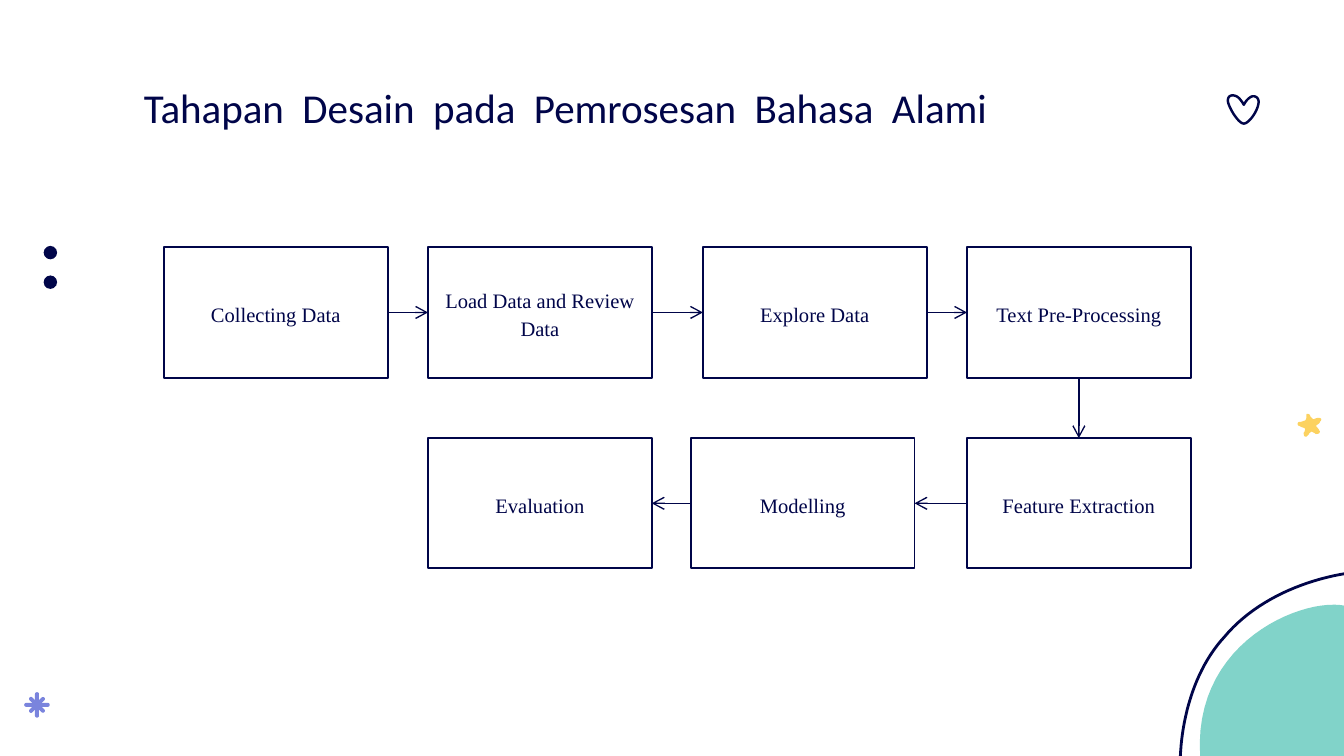
"""Build a slide showing the design stages of natural language processing."""

from dataclasses import dataclass
from itertools import pairwise
from typing import Any, NamedTuple

from lxml.etree import SubElement
from pptx import Presentation
from pptx.dml.color import RGBColor
from pptx.enum.shapes import MSO_CONNECTOR, MSO_SHAPE
from pptx.enum.text import MSO_ANCHOR, MSO_AUTO_SIZE, PP_ALIGN
from pptx.oxml.ns import qn
from pptx.util import Emu, Inches, Pt

Point = tuple[float, float]


@dataclass(frozen=True)
class Theme:
    navy: RGBColor = RGBColor.from_string("000549")
    white: RGBColor = RGBColor.from_string("FFFFFF")
    yellow: RGBColor = RGBColor.from_string("FCD260")
    violet: RGBColor = RGBColor.from_string("7A84DD")
    teal: RGBColor = RGBColor.from_string("81D3C9")
    title_font: str = "Calibri"
    box_font: str = "Times New Roman"
    title_size: Pt = Pt(22)
    box_size: Pt = Pt(11)
    box_line: Pt = Pt(1)
    arrow_line: Pt = Pt(0.75)
    heart_line: Pt = Pt(1.3)
    arc_line: Pt = Pt(1.5)


class Stage(NamedTuple):
    text: str
    column: float
    row: float
    exit_side: int
    entry_side: int


class Bar(NamedTuple):
    length: float
    angle: int


@dataclass(frozen=True)
class Outline:
    start: Point
    curves: tuple[tuple[Point, ...], ...]
    fill: RGBColor | None = None
    line: Pt | None = None
    closed: bool = True


THEME = Theme()
SLIDE_COLUMNS, SLIDE_ROWS = 100, 56.25
TOP, LEFT, BOTTOM, RIGHT = range(4)
BOX_COLUMNS, BOX_ROWS = 16.65, 9.7
UPPER_ROW, LOWER_ROW = 18.4, 32.6
CURVE_STEPS = 24

STAGES = (
    Stage("Collecting Data", 12.2, UPPER_ROW, RIGHT, LEFT),
    Stage("Load Data and Review Data", 31.85, UPPER_ROW, RIGHT, LEFT),
    Stage("Explore Data", 52.3, UPPER_ROW, RIGHT, LEFT),
    Stage("Text Pre-Processing", 71.95, UPPER_ROW, BOTTOM, LEFT),
    Stage("Feature Extraction", 71.95, LOWER_ROW, LEFT, TOP),
    Stage("Modelling", 51.4, LOWER_ROW, LEFT, RIGHT),
    Stage("Evaluation", 31.85, LOWER_ROW, LEFT, RIGHT),
)
BARS = (Bar(1.9, 0), Bar(1.9, 90), Bar(1.55, 45), Bar(1.55, 135))
DOT_ROWS = (18.3, 20.5)

HEART = Outline((92.55, 7.8), (
    ((92.3, 7.4), (92.1, 7.1), (91.7, 7.1)),
    ((91.4, 7.1), (91.3, 7.4), (91.4, 7.7)),
    ((91.6, 8.3), (92.2, 9.2), (92.55, 9.2)),
    ((92.9, 9.2), (93.6, 8.3), (93.65, 7.6)),
    ((93.65, 7.2), (93.3, 7.1), (93.1, 7.2)),
    ((92.9, 7.3), (92.7, 7.5), (92.55, 7.8)),
), line=THEME.heart_line)
STAR = Outline((97.3, 30.8), (
    ((97.2, 30.8), (97.2, 30.8), (97.2, 31)),
    ((97.2, 31.1), (97.2, 31.2), (97.1, 31.3)),
    ((97, 31.3), (96.9, 31.4), (96.7, 31.4)),
    ((96.5, 31.4), (96.5, 31.7), (96.7, 31.7)),
    ((96.8, 31.8), (97, 31.8), (97.1, 31.9)),
    ((97.1, 32), (97.1, 32.1), (97, 32.2)),
    ((97, 32.5), (97.1, 32.5), (97.2, 32.5)),
    ((97.2, 32.5), (97.4, 32.3), (97.4, 32.3)),
    ((97.4, 32.2), (97.5, 32.2), (97.6, 32.1)),
    ((97.7, 32.2), (97.8, 32.2), (97.9, 32.3)),
    ((98, 32.3), (98.2, 32.3), (98.2, 32.1)),
    ((98.1, 31.9), (98, 31.8), (97.9, 31.7)),
    ((98, 31.6), (98.2, 31.5), (98.2, 31.4)),
    ((98.4, 31.2), (98.3, 31.1), (98.1, 31.1)),
    ((97.9, 31.1), (97.8, 31.2), (97.7, 31.2)),
    ((97.6, 31.1), (97.6, 31.1), (97.5, 31)),
    ((97.5, 30.9), (97.4, 30.8), (97.3, 30.8)),
), fill=THEME.yellow)
HILL = Outline((100.7, 45.4), (
    ((100.4, 45.1), (99.9, 45), (99.2, 45)),
    ((95.8, 45), (88.8, 48.3), (89.3, SLIDE_ROWS)),
    ((100.7, SLIDE_ROWS),),
), fill=THEME.teal)
ARC = Outline((101.6, 42.5), (
    ((97.8, 42.8), (93.6, 44.4), (91.1, 47.4)),
    ((88.8, 49.9), (87.8, 53.7), (87.8, 57.2)),
), line=THEME.arc_line, closed=False)


def cells(count: float) -> Emu:
    """Convert grid columns or rows, each a tenth of an inch, to a length."""
    return Inches(count / 10)


def apply(target: Any, values: dict[str, Any]) -> None:
    """Set every named format value on the target."""
    for name, value in values.items():
        setattr(target, name, value)


def paint(shape: Any, fill: RGBColor | None, line: Pt | None) -> None:
    """Give a shape its fill and navy line, without a shadow."""
    shape.shadow.inherit = False
    if fill is None:
        shape.fill.background()
    else:
        shape.fill.solid()
        shape.fill.fore_color.rgb = fill
    if line is None:
        shape.line.fill.background()
    else:
        shape.line.color.rgb = THEME.navy
        shape.line.width = line


def write(shape: Any, text: str, font: dict[str, Any],
          frame: dict[str, Any], paragraph: dict[str, Any]) -> None:
    """Write one formatted paragraph into a shape."""
    apply(shape.text_frame, frame)
    para = shape.text_frame.paragraphs[0]
    apply(para, paragraph)
    span = para.add_run()
    span.text = text
    apply(span.font, font)
    span.font.color.rgb = THEME.navy


def bezier(points: tuple[Point, ...], share: float) -> Point:
    """Find the point at a share of the way along a curve."""
    while len(points) > 1:
        points = tuple((a[0] + (b[0] - a[0]) * share, a[1] + (b[1] - a[1]) * share)
                       for a, b in pairwise(points))
    return points[0]


def draw_outline(shapes: Any, outline: Outline) -> None:
    """Draw an outline made of curves and straight sides."""
    start, vertices = outline.start, []
    for curve in outline.curves:
        steps = CURVE_STEPS if len(curve) > 1 else 1
        vertices += [bezier((start, *curve), step / steps) for step in range(1, steps + 1)]
        start = curve[-1]
    builder = shapes.build_freeform(*map(cells, outline.start))
    builder.add_line_segments([(cells(x), cells(y)) for x, y in vertices], close=outline.closed)
    paint(builder.convert_to_shape(), outline.fill, outline.line)


def draw_dot(shapes: Any, row: float) -> None:
    """Draw a round navy dot at the left edge."""
    dot = shapes.add_shape(MSO_SHAPE.OVAL, cells(3.25), cells(row), cells(1), cells(1))
    paint(dot, THEME.navy, None)


def draw_bar(shapes: Any, bar: Bar) -> None:
    """Draw one rounded ray of the violet flower."""
    ray = shapes.add_shape(MSO_SHAPE.ROUNDED_RECTANGLE, cells(2.75 - bar.length / 2),
                           cells(52.3), cells(bar.length), cells(0.3))
    ray.adjustments[0] = 0.5
    ray.rotation = bar.angle
    paint(ray, THEME.violet, None)


def draw_stage(shapes: Any, stage: Stage) -> Any:
    """Draw the box of one stage."""
    box = shapes.add_shape(MSO_SHAPE.RECTANGLE, cells(stage.column), cells(stage.row),
                           cells(BOX_COLUMNS), cells(BOX_ROWS))
    paint(box, THEME.white, THEME.box_line)
    write(box, stage.text, {"name": THEME.box_font, "size": THEME.box_size},
          {"word_wrap": True, "vertical_anchor": MSO_ANCHOR.MIDDLE},
          {"alignment": PP_ALIGN.CENTER, "line_spacing": 1.15, "space_after": Pt(10)})
    return box


def draw_arrow(shapes: Any, source: Any, exit_side: int, target: Any, entry_side: int) -> None:
    """Join two stage boxes with an open arrow."""
    arrow = shapes.add_connector(MSO_CONNECTOR.STRAIGHT, 0, 0, 0, 0)
    arrow.begin_connect(source, exit_side)
    arrow.end_connect(target, entry_side)
    arrow.line.color.rgb = THEME.navy
    arrow.line.width = THEME.arrow_line
    properties = arrow.element.spPr
    SubElement(properties.find(qn("a:ln")), qn("a:tailEnd"), type="arrow")
    SubElement(properties, qn("a:effectLst"))


def main() -> None:
    """Build and save the deck."""
    deck = Presentation()
    apply(deck, {"slide_width": cells(SLIDE_COLUMNS), "slide_height": cells(SLIDE_ROWS)})
    page = deck.slides.add_slide(deck.slide_layouts[5])
    shapes = page.shapes
    for outline in (HEART, STAR, HILL, ARC):
        draw_outline(shapes, outline)
    for row in DOT_ROWS:
        draw_dot(shapes, row)
    for bar in BARS:
        draw_bar(shapes, bar)

    title = shapes.title
    apply(title, {"left": cells(9.7), "top": cells(5.1),
                  "width": cells(85.2), "height": cells(10.3)})
    margins = {f"margin_{side}": cells(1) for side in ("left", "top", "right", "bottom")}
    write(title, "Tahapan  Desain  pada  Pemrosesan  Bahasa  Alami",
          {"name": THEME.title_font, "size": THEME.title_size},
          {"word_wrap": True, "auto_size": MSO_AUTO_SIZE.NONE,
           "vertical_anchor": MSO_ANCHOR.TOP, **margins},
          {"alignment": PP_ALIGN.LEFT})

    boxes = [draw_stage(shapes, stage) for stage in STAGES]
    for (source, stage), (target, following) in pairwise(zip(boxes, STAGES)):
        draw_arrow(shapes, source, stage.exit_side, target, following.entry_side)
    deck.save("out.pptx")


if __name__ == "__main__":
    main()
